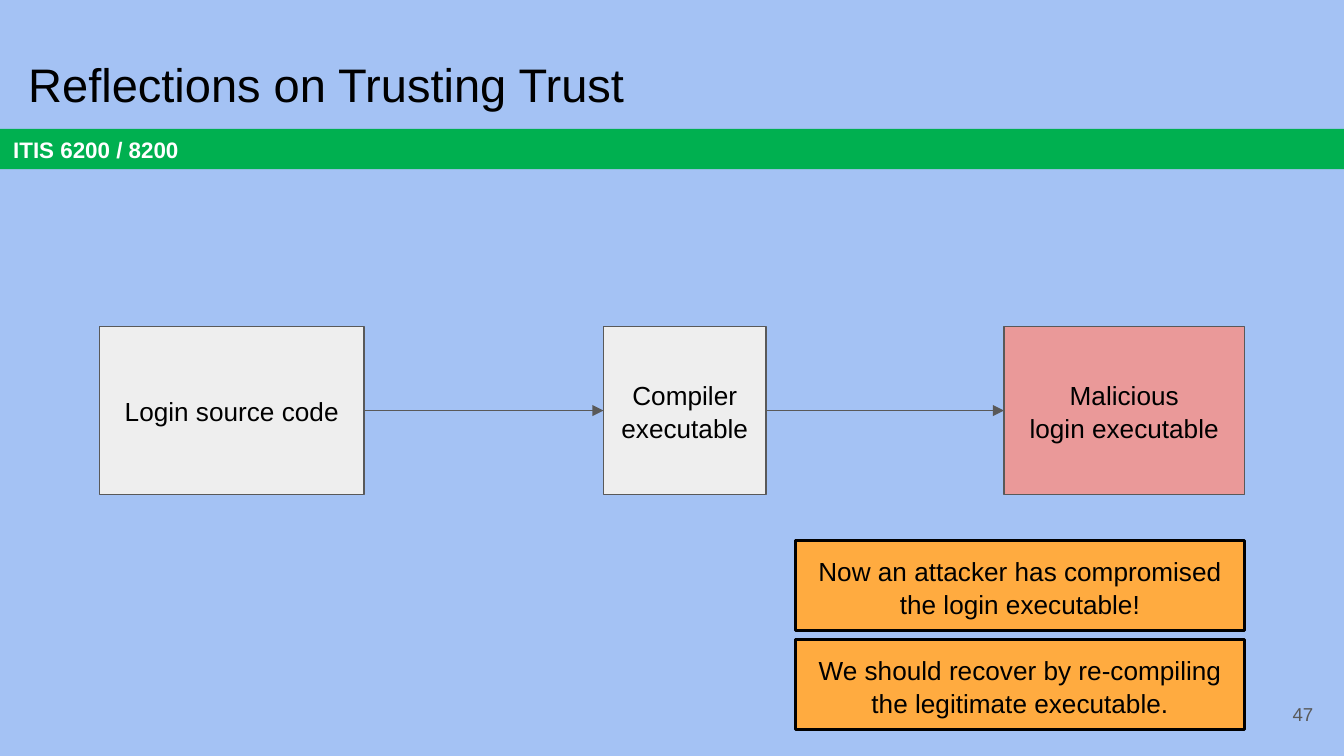
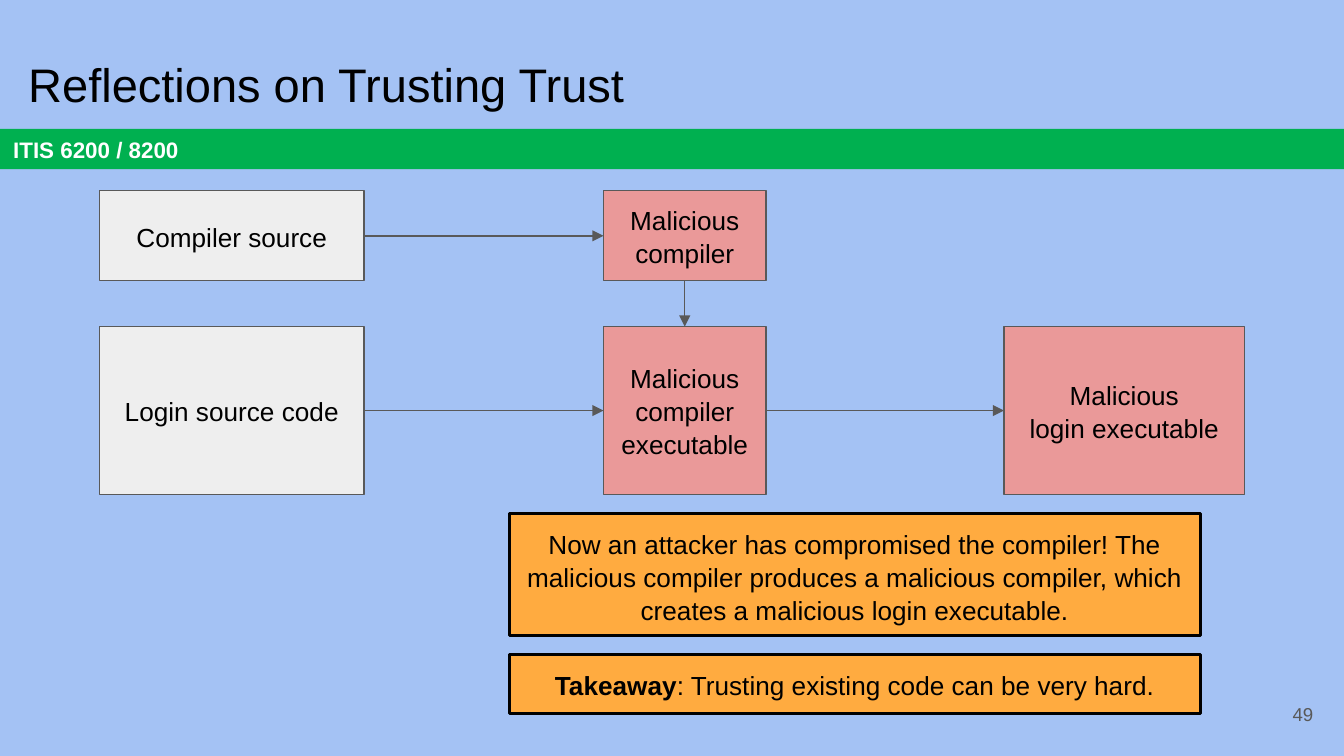
from dataclasses import dataclass

from lxml.etree import SubElement
from pptx import Presentation
from pptx.dml.color import RGBColor
from pptx.enum.shapes import MSO_CONNECTOR, MSO_SHAPE
from pptx.enum.text import MSO_ANCHOR, MSO_AUTO_SIZE, PP_ALIGN
from pptx.oxml.ns import qn
from pptx.util import Inches, Pt

# Shared style
FONT = "Arial"
BLACK, WHITE, GREY = "000000", "FFFFFF", "595959"
SKY, GREEN, PLAIN, BAD, NOTE = "A4C2F4", "00B050", "EEEEEE", "EA9999", "FFAB40"
TITLE = "Reflections on Trusting Trust"
COURSE = "ITIS 6200 / 8200"

# Grid: 100 columns by 56.25 rows of square cells
COLS, ROWS = 100, 56.25
CELL = Inches(10) // COLS
PAD = CELL

# Diagram columns as (left, width) and rows as (top, height)
SOURCE, COMPILER, RESULT = (7.4, 19.7), (44.9, 12.1), (74.7, 17.9)
UPPER, MAIN = (14.2, 6.7), (24.3, 12.5)
TOP, LEFT, BOTTOM, RIGHT = range(4)  # connection sites of a rectangle


@dataclass(frozen=True)
class Box:
    name: str
    text: str
    col: tuple[float, float]
    row: tuple[float, float]
    fill: str = PLAIN


@dataclass(frozen=True)
class Note:
    text: str
    col: tuple[float, float]
    row: tuple[float, float]
    lead: str = ""


@dataclass(frozen=True)
class Arrow:
    start: str
    end: str
    sites: tuple[int, int] = (RIGHT, LEFT)


@dataclass(frozen=True)
class Page:
    number: int
    boxes: list[Box]
    arrows: list[Arrow]
    notes: list[Note]


def rgb(color: str) -> RGBColor:
    return RGBColor.from_string(color)


def area(col: tuple[float, float], row: tuple[float, float]) -> list[int]:
    """Left, top, width and height of a block of grid cells."""
    return [round(v * CELL) for v in (col[0], row[0], col[1], row[1])]


def format_text(tf, size: float, color: str = BLACK, align=PP_ALIGN.LEFT,
                anchor=MSO_ANCHOR.MIDDLE, spacing: float = 1.0) -> None:
    tf.word_wrap = True
    tf.vertical_anchor = anchor
    tf.margin_left = tf.margin_right = tf.margin_top = tf.margin_bottom = PAD
    for p in tf.paragraphs:
        p.alignment = align
        p.line_spacing = spacing
        for r in p.runs:
            r.font.name, r.font.size = FONT, Pt(size)
            r.font.color.rgb = rgb(color)


def add_rect(s, col, row, fill: str, line: str | None = None, width: float = 0.75):
    sp = s.shapes.add_shape(MSO_SHAPE.RECTANGLE, *area(col, row))
    sp.shadow.inherit = False
    sp.fill.solid()
    sp.fill.fore_color.rgb = rgb(fill)
    if line:
        sp.line.color.rgb = rgb(line)
        sp.line.width = Pt(width)
    else:
        sp.line.fill.background()
    return sp


def add_box(s, box: Box):
    sp = add_rect(s, box.col, box.row, box.fill, GREY)
    sp.text_frame.text = box.text
    format_text(sp.text_frame, 14, align=PP_ALIGN.CENTER, spacing=1.05)
    return sp


def add_note(s, note: Note) -> None:
    tf = add_rect(s, note.col, note.row, NOTE, BLACK, 1.5).text_frame
    p = tf.paragraphs[0]
    if note.lead:
        r = p.add_run()
        r.text, r.font.bold = note.lead, True
    p.add_run().text = note.text
    format_text(tf, 14, align=PP_ALIGN.CENTER, anchor=MSO_ANCHOR.TOP, spacing=1.05)
    tf.auto_size = MSO_AUTO_SIZE.SHAPE_TO_FIT_TEXT


def add_arrow(s, start, end, sites: tuple[int, int]) -> None:
    line = s.shapes.add_connector(MSO_CONNECTOR.STRAIGHT, 0, 0, 0, 0)
    line.begin_connect(start, sites[0])
    line.end_connect(end, sites[1])
    line.line.color.rgb = rgb(GREY)
    line.line.width = Pt(0.75)
    SubElement(line.line._get_or_add_ln(), qn("a:tailEnd"), type="triangle")
    SubElement(line.element.spPr, qn("a:effectLst"))


def style_layout(layout, s) -> None:
    """Give the layout its background, title place and course band."""
    layout.background.fill.solid()
    layout.background.fill.fore_color.rgb = rgb(SKY)
    title = layout.placeholders[0]
    title.left, title.top, title.width, title.height = area((1.1, 93.2), (3, 6.3))
    band = add_rect(s, (0, COLS), (9.6, 3), GREEN)
    band.text_frame.text = COURSE
    format_text(band.text_frame, 12, WHITE)
    band.text_frame.paragraphs[0].runs[0].font.bold = True
    layout.shapes.element.append(band.element)


def fill_page(s, page: Page) -> None:
    # Title and page number
    tf = s.shapes.title.text_frame
    tf.text = TITLE
    format_text(tf, 25.2, anchor=MSO_ANCHOR.BOTTOM)
    tf.auto_size = MSO_AUTO_SIZE.NONE
    tf = s.shapes.add_textbox(*area((92.7, 6), (51, 4.3))).text_frame
    tf.text = str(page.number)
    format_text(tf, 10, GREY, PP_ALIGN.RIGHT)

    # Diagram and notes
    shapes = {box.name: add_box(s, box) for box in page.boxes}
    for arrow in page.arrows:
        add_arrow(s, shapes[arrow.start], shapes[arrow.end], arrow.sites)
    for note in page.notes:
        add_note(s, note)


# Content
LOGIN = Box("login", "Login source code", SOURCE, MAIN)
BAD_LOGIN = Box("result", "Malicious\vlogin executable", RESULT, MAIN, BAD)
MAIN_ARROWS = [Arrow("login", "compiler"), Arrow("compiler", "result")]
RIGHT_NOTES, WIDE_NOTES = (59.2, 33.4), (37.9, 51.4)

PAGES = [
    Page(
        47,
        [LOGIN, Box("compiler", "Compiler executable", COMPILER, MAIN), BAD_LOGIN],
        MAIN_ARROWS,
        [Note("Now an attacker has compromised the login executable!",
              RIGHT_NOTES, (40.2, 6.7)),
         Note("We should recover by re-compiling the legitimate executable.",
              RIGHT_NOTES, (47.6, 6.7))],
    ),
    Page(
        49,
        [LOGIN,
         Box("compiler", "Malicious\ncompiler\nexecutable", COMPILER, MAIN, BAD),
         BAD_LOGIN,
         Box("compiler source", "Compiler source", SOURCE, UPPER),
         Box("bad compiler", "Malicious compiler", COMPILER, UPPER, BAD)],
        MAIN_ARROWS + [Arrow("compiler source", "bad compiler"),
                       Arrow("bad compiler", "compiler", (BOTTOM, TOP))],
        [Note("Now an attacker has compromised the compiler! The malicious "
              "compiler produces a malicious compiler, which creates a "
              "malicious login executable.", WIDE_NOTES, (38.2, 9.1)),
         Note(": Trusting existing code can be very hard.",
              WIDE_NOTES, (48.7, 4.4), lead="Takeaway")],
    ),
]


def main() -> None:
    prs = Presentation()
    prs.slide_width, prs.slide_height = COLS * CELL, round(ROWS * CELL)
    layout = prs.slide_layouts[5]
    slides = [prs.slides.add_slide(layout) for _ in PAGES]
    style_layout(layout, slides[0])
    for s, page in zip(slides, PAGES):
        fill_page(s, page)
    prs.save("out.pptx")


if __name__ == "__main__":
    main()
